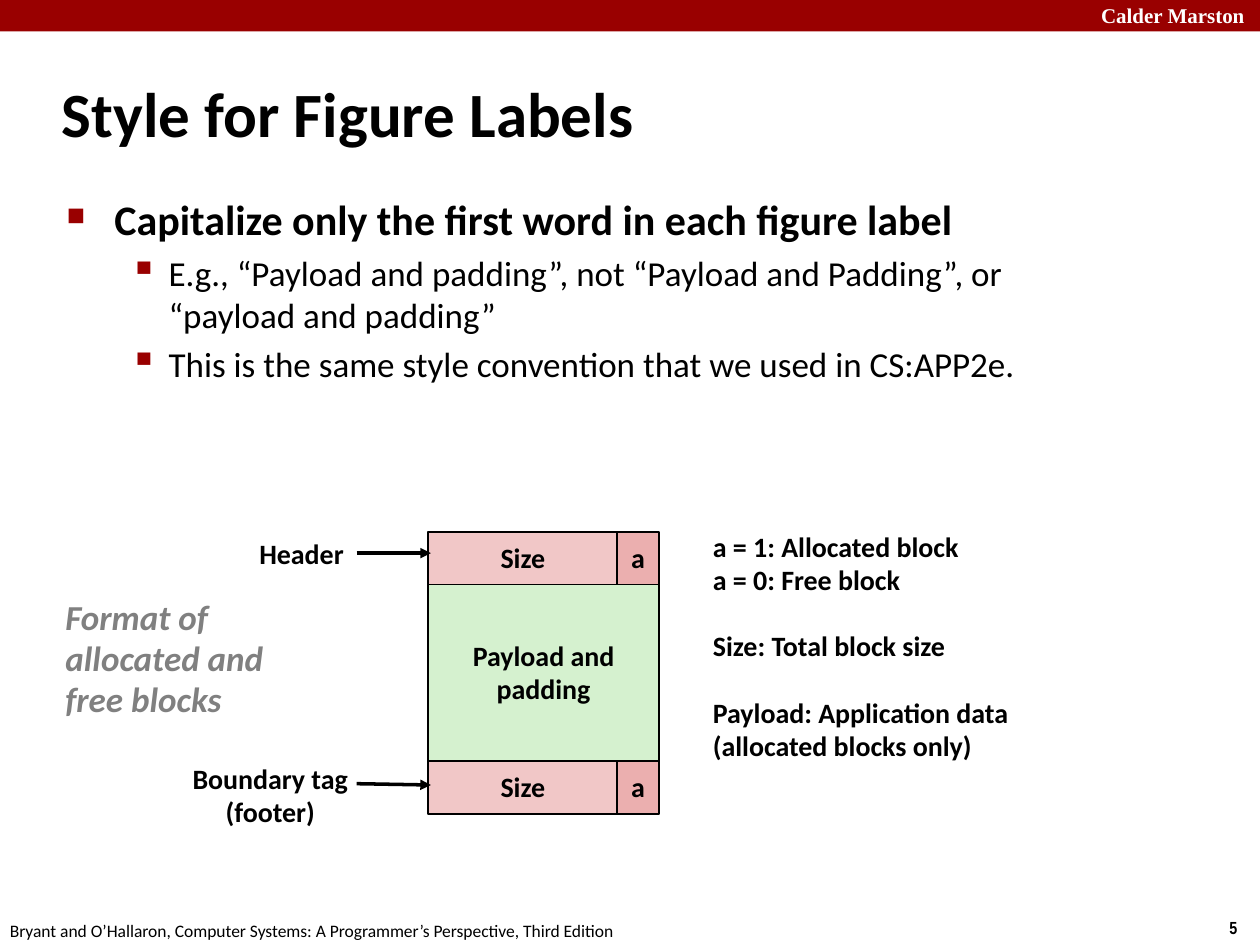
import pptx
import pptx.util
import pptx.dml.color
import pptx.enum.shapes
import pptx.enum.text
import lxml.etree

Inches, Pt = pptx.util.Inches, pptx.util.Pt
Color = pptx.dml.color.RGBColor
Align, Anchor = pptx.enum.text.PP_ALIGN, pptx.enum.text.MSO_ANCHOR
Auto = pptx.enum.text.MSO_AUTO_SIZE

RED = Color(0x99, 0, 0)
PINK = Color(0xF1, 0xC7, 0xC7)
ROSE = Color(0xEB, 0xAF, 0xAF)
GREEN = Color(0xD5, 0xF1, 0xCF)
GRAY = Color(0x80, 0x80, 0x80)
BLACK = Color(0, 0, 0)
WHITE = Color(255, 255, 255)

# Content
TITLE = "Style for Figure Labels"
BULLETS = [
    (0, "Capitalize only the first word in each figure label"),
    (1, "E.g., “Payload and padding”, not “Payload and Padding”, or "
        "“payload and padding”"),
    (1, "This is the same style convention that we used in CS:APP2e."),
]
# Per level: size, bold, left margin, hanging indent, bullet, bullet percent
LEVELS = [(24, True, 0.38, 0.38, "■", 60), (20, False, 0.81, 0.31, "▪", 110)]

# Box, lines, text format
FRAME = [
    ((8.64, -0.03, 1.43, 0.3), ["Calder Marston"],
     dict(size=12, font="Times New Roman", color=WHITE, wrap=True)),
    ((9.66, 7.23, 0.34, 0.27), ["5"], dict(size=10, font="Arial Narrow")),
    ((-0.02, 7.25, 5.08, 0.27),
     ["Bryant and O’Hallaron, Computer Systems: A Programmer’s Perspective, "
      "Third Edition"], dict(size=10, bold=False)),
]
LABELS = [
    ((0.42, 4.69, 1.78, 1.09), ["Format of", "allocated and", "free blocks"],
     dict(size=20, color=GRAY, italic=True)),
    ((1.96, 4.22, 0.88, 0.37), ["Header"], {}),
    ((1.42, 6.01, 1.45, 0.63), ["Boundary tag", "(footer)"],
     dict(align=Align.CENTER)),
]
KEY_BOX = (5.56, 4.17, 2.57, 2.22)
KEY = [
    ["a = 1: Allocated block", "a = 0: Free block"],
    ["Size: Total block size"],
    ["Payload: Application data", "(allocated blocks only)"],
]
KEY_GAP = 19

# Block diagram
LEFT, SIZE_W, FLAG_W = 3.4, 1.5, 0.33
HEAD_Y, FOOT_Y, TAG_H = 4.22, 6.04, 0.42
ARROWS = [(4.39, 4.39), (6.22, 6.23)]
ARROW_X = (2.83, 3.42)

deck = pptx.Presentation()
deck.slide_width, deck.slide_height = Inches(10), Inches(7.5)
slide = deck.slides.add_slide(deck.slide_layouts[5])
shapes = slide.shapes


def inches(box):
    return [Inches(n) for n in box]


def write(frame, lines, size=16, font="Calibri", color=BLACK, bold=True,
          italic=False, align=Align.LEFT, wrap=False, pitch=0.98):
    frame.text = "\n".join(lines)
    frame.word_wrap = wrap
    frame.auto_size = Auto.NONE
    for par in frame.paragraphs:
        par.alignment = align
        par.line_spacing = pitch
        for run in par.runs:
            face = run.font
            face.size, face.name = Pt(size), font
            face.bold, face.italic = bold, italic
            face.color.rgb = color


def add_text(box, lines, **look):
    frame = shapes.add_textbox(*inches(box)).text_frame
    write(frame, lines, **look)
    return frame


def add_rect(box, fill):
    rect = shapes.add_shape(pptx.enum.shapes.MSO_SHAPE.RECTANGLE, *inches(box))
    rect.shadow.inherit = False
    rect.fill.solid()
    rect.fill.fore_color.rgb = fill
    return rect


def add_cell(box, fill, lines):
    cell = add_rect(box, fill)
    cell.line.color.rgb = BLACK
    cell.line.width = Pt(1)
    cell.text_frame.vertical_anchor = Anchor.MIDDLE
    write(cell.text_frame, lines, align=Align.CENTER)


def sub(parent, tag, **attrs):
    return lxml.etree.SubElement(parent, pptx.oxml.ns.qn(tag), attrs)


def add_bullet(par, left, hang, mark, percent):
    props = par._p.get_or_add_pPr()
    props.set("marL", str(Inches(left)))
    props.set("indent", str(-Inches(hang)))
    sub(sub(props, "a:buClr"), "a:srgbClr", val=str(RED))
    sub(props, "a:buSzPct", val=str(percent * 1000))
    sub(props, "a:buChar", char=mark)


def add_arrow(start, end):
    line = shapes.add_connector(pptx.enum.shapes.MSO_CONNECTOR.STRAIGHT,
                                *inches(start + end))
    line.line.color.rgb = BLACK
    line.line.width = Pt(2)
    sub(line.line._get_or_add_ln(), "a:tailEnd", type="triangle")
    sub(line._element.spPr, "a:effectLst")


# Banner, page number and credit
add_rect((0, 0, 10, 0.25), RED).line.fill.background()
for box, lines, look in FRAME:
    add_text(box, lines, pitch=1.0, **look)

# Title
title = shapes.title
title.left, title.top, title.width, title.height = inches((0.39, 0.48, 8.3, 0.83))
write(title.text_frame, [TITLE], size=36, wrap=True, pitch=1.0)
title.text_frame.vertical_anchor = Anchor.MIDDLE

# Bullets
body = add_text((0.43, 1.49, 8.64, 5.44), [text for _, text in BULLETS],
                wrap=True, pitch=1.0)
for par, (level, _) in zip(body.paragraphs, BULLETS):
    size, bold, *marks = LEVELS[level]
    par.level = level
    par.space_before = Pt(size * 0.2)
    par.runs[0].font.size, par.runs[0].font.bold = Pt(size), bold
    add_bullet(par, *marks)

# Block: payload between two equal tag rows
mid = HEAD_Y + TAG_H
add_cell((LEFT, mid, SIZE_W + FLAG_W, FOOT_Y - mid), GREEN,
         ["Payload and", "padding"])
for top in (HEAD_Y, FOOT_Y):
    add_cell((LEFT, top, SIZE_W, TAG_H), PINK, ["Size"])
    add_cell((LEFT + SIZE_W, top, FLAG_W, TAG_H), ROSE, ["a"])

# Labels and arrows
for box, lines, look in LABELS:
    add_text(box, lines, **look)
for start, end in ARROWS:
    add_arrow((ARROW_X[0], start), (ARROW_X[1], end))

# Key, with a gap above each later group
key = add_text(KEY_BOX, sum(KEY, []))
row = 0
for group in KEY[:-1]:
    row += len(group)
    key.paragraphs[row].space_before = Pt(KEY_GAP)

deck.save("out.pptx")
